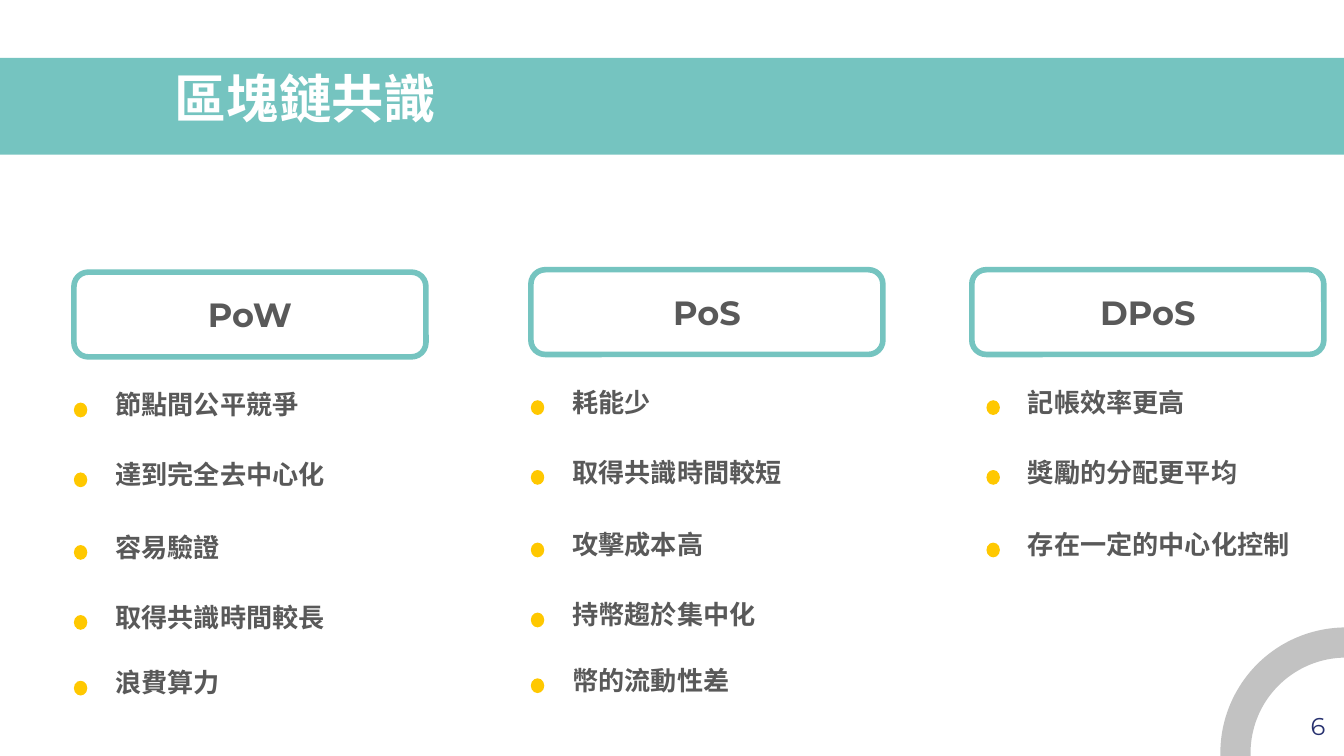
from lxml import etree
from pptx import Presentation
from pptx import util as u
from pptx.dml.color import RGBColor
from pptx.enum import shapes, text
from pptx.oxml.ns import qn

TEAL, GREY, YELLOW, WHITE = "75C4C0", "C2C2C2", "FFC800", "FFFFFF"
INK, NAVY = "595959", "27316F"
LATIN, CJK_SC, CJK_TC = "Montserrat", "Noto Sans CJK SC", "Noto Sans CJK TC"
SHAPE, ALIGN, ANCHOR = shapes.MSO_SHAPE, text.PP_ALIGN, text.MSO_ANCHOR

# heading, heading left, bullet left, top of first item, items
COLUMNS = [
    ("PoW", 39.6, 39.6, 203.8,
     ["節點間公平競爭", "達到完全去中心化", "容易驗證", "取得共識時間較長", "浪費算力"]),
    ("PoS", 284.4, 284.4, 202.5,
     ["耗能少", "取得共識時間較短", "攻擊成本高", "持幣趨於集中化", "幣的流動性差"]),
    ("DPoS", 520.6, 528.5, 202.5,
     ["記帳效率更高", "獎勵的分配更平均", "存在一定的中心化控制"]),
]
ROW_OFFSETS = [0, 37.4, 76.3, 113.8, 149]


def rgb(value):
    return RGBColor.from_string(value)


class Deck:
    """Holds the text styles and the current slide; lengths are in points."""

    styles = {
        "title": dict(name=CJK_SC, size=u.Pt(28), bold=True, color=WHITE),
        "heading": dict(name=LATIN, size=u.Pt(18), bold=True, color=INK),
        "item": dict(name=CJK_TC, size=u.Pt(14), bold=True, color=INK),
        "number": dict(name=LATIN, size=u.Pt(13), bold=False, color=NAVY),
    }

    def __init__(self, width, height):
        self.prs = Presentation()
        self.prs.slide_width, self.prs.slide_height = u.Pt(width), u.Pt(height)

    def add_slide(self):
        self.s = self.prs.slides.add_slide(self.prs.slide_layouts[5])

    def set_text(self, sp, words, style, align=ALIGN.LEFT, anchor=ANCHOR.TOP,
                 insets=(7.2, 7.2, 7.2, 7.2)):
        tf = sp.text_frame
        frame = dict(zip(("margin_left", "margin_top", "margin_right", "margin_bottom"),
                         map(u.Pt, insets)),
                     word_wrap=True, auto_size=text.MSO_AUTO_SIZE.NONE,
                     vertical_anchor=anchor)
        for key, value in frame.items():
            setattr(tf, key, value)
        p = tf.paragraphs[0]
        p.alignment = align
        r = p.add_run()
        r.text = words
        for key, value in self.styles[style].items():
            if key == "color":
                r.font.color.rgb = rgb(value)
            else:
                setattr(r.font, key, value)
        ea = etree.SubElement(r.font._element, qn("a:ea"))
        ea.set("typeface", self.styles[style]["name"])

    def shape(self, kind, box, fill, line=None, adjustments=()):
        sp = self.s.shapes.add_shape(kind, *map(u.Pt, box))
        sp.shadow.inherit = False
        sp.fill.solid()
        sp.fill.fore_color.rgb = rgb(fill)
        if line:
            sp.line.color.rgb = rgb(line)
            sp.line.width = u.Pt(3)
        else:
            sp.line.fill.background()
        for i, value in enumerate(adjustments):
            sp.adjustments[i] = value
        return sp

    def title(self, words, box):
        sp = self.s.shapes.title
        sp.left, sp.top, sp.width, sp.height = map(u.Pt, box)
        sp.element.getparent().append(sp.element)  # bring in front of the band
        self.set_text(sp, words, "title", insets=(7.2, 1.6, 7.2, 7.2))

    def label(self, words, box, style, **layout):
        sp = self.s.shapes.add_textbox(*map(u.Pt, box))
        self.set_text(sp, words, style, **layout)

    def heading(self, words, left, top):
        sp = self.shape(SHAPE.ROUNDED_RECTANGLE, (left, top, 188.6, 45.4),
                        WHITE, TEAL, [0.17])
        self.set_text(sp, words, "heading", ALIGN.CENTER, ANCHOR.MIDDLE,
                      (7.2, 3.6, 7.2, 3.6))

    def item(self, words, left, top):
        """Place a round bullet with its line of text."""
        self.shape(SHAPE.OVAL, (left, top + 11.9, 7.2, 7.9), YELLOW)
        self.label(words, (left + 15.1, top, 173.5, 37.4), "item",
                   insets=(7.2, 4.4, 7.2, 7.2))


def main():
    deck = Deck(720, 405)
    deck.add_slide()
    deck.shape(SHAPE.RECTANGLE, (-12.2, 31, 744.5, 51.8), TEAL)
    deck.shape(SHAPE.BLOCK_ARC, (653.8, 336.2, 134.6, 134.6), GREY,
               adjustments=[106.77, 163.22, 0.12])
    deck.label("6", (673.9, 373.7, 43.2, 31), "number", align=ALIGN.RIGHT)
    deck.title("區塊鏈共識", (86.4, 33.8, 609.1, 45.4))
    for name, heading_left, item_left, top, items in COLUMNS:
        deck.heading(name, heading_left, top - 58)
        for words, offset in zip(items, ROW_OFFSETS):
            deck.item(words, item_left, top + offset)
    deck.prs.save("out.pptx")


if __name__ == "__main__":
    main()
